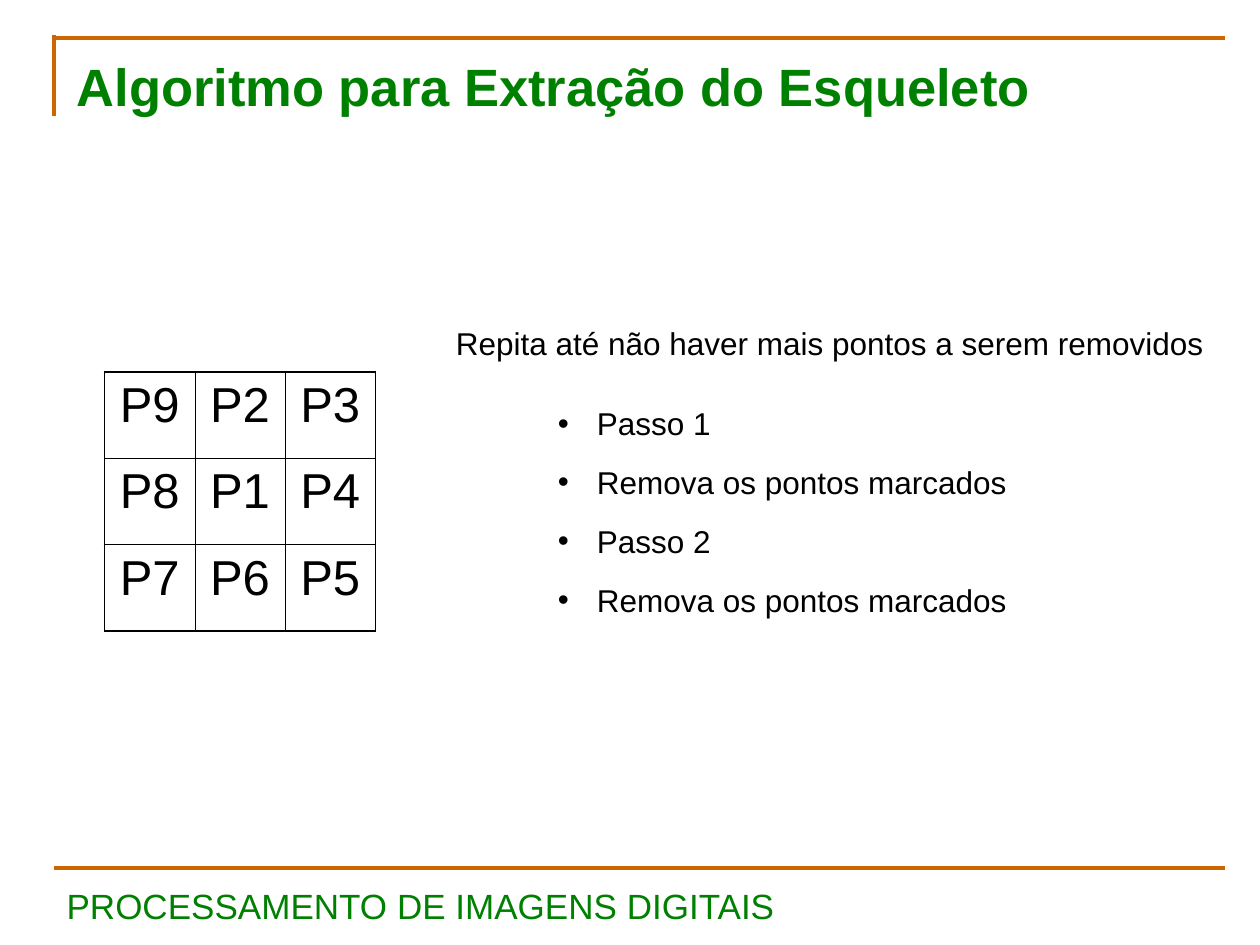
"""Builds the slide on the skeleton extraction algorithm."""
from lxml.etree import SubElement as Sub
from pptx import Presentation
from pptx.dml.color import RGBColor as RGB
from pptx.enum.shapes import MSO_CONNECTOR as Conn
from pptx.enum.text import MSO_ANCHOR as Anchor, MSO_AUTO_SIZE as Auto, PP_ALIGN as Align
from pptx.oxml.ns import qn
from pptx.util import Inches, Pt

INK = {"line": "CC6600", "head": "008000", "text": "000000"}
COLS, ROWS = 100, 75


class Deck:
    def __init__(self, font="Arial"):
        self.font = font
        self.prs = Presentation()
        self.prs.slide_width, self.prs.slide_height = Inches(10), Inches(7.5)
        self.slide = self.prs.slides.add_slide(self.prs.slide_layouts[5])

    def grid(self, *vals):
        unit = self.prs.slide_width / COLS, self.prs.slide_height / ROWS
        return [round(v * unit[i % 2]) for i, v in enumerate(vals)]

    def style(self, par, size, ink, bold=False, align=Align.LEFT):
        par.alignment = align
        for run in par.runs:
            font = run.font
            font.name, font.size, font.bold = self.font, Pt(size), bold
            font.color.rgb = RGB.from_string(INK[ink])

    def fill(self, shape, box, lines, size, ink, bold=False, align=Align.LEFT, gap=None):
        shape.left, shape.top, shape.width, shape.height = self.grid(*box)
        frame = shape.text_frame
        frame.text = "\n".join(lines)
        frame.word_wrap, frame.auto_size = True, Auto.SHAPE_TO_FIT_TEXT
        frame.vertical_anchor = Anchor.TOP
        for i, par in enumerate(frame.paragraphs):
            if gap:
                self.dot(par)
            par.space_before = Pt(gap if gap and i else 0)
            self.style(par, size, ink, bold, align)

    def dot(self, par):
        props = par._p.get_or_add_pPr()
        props.set("marL", str(Inches(0.31)))
        props.set("indent", str(-Inches(0.31)))
        Sub(props, qn("a:buFont")).set("typeface", self.font)
        Sub(props, qn("a:buChar")).set("char", "•")

    def title(self, box, text, size):
        self.fill(self.slide.shapes.title, box, [text], size, "head", True)

    def text(self, box, lines, size, ink, **kw):
        self.fill(self.slide.shapes.add_textbox(0, 0, 0, 0), box, lines, size, ink, **kw)

    def rule(self, *ends):
        line = self.slide.shapes.add_connector(Conn.STRAIGHT, *self.grid(*ends))
        line.line.color.rgb = RGB.from_string(INK["line"])
        line.line.width = Pt(2.5)
        Sub(line._element.spPr, qn("a:effectLst"))

    def edge(self, cell, side, width):
        line = Sub(cell._tc.get_or_add_tcPr(), qn("a:ln" + side), w=str(Pt(width)))
        Sub(Sub(line, qn("a:solidFill")), qn("a:srgbClr")).set("val", INK["text"])

    def table(self, box, rows, size):
        high, wide = len(rows), len(rows[0])
        table = self.slide.shapes.add_table(high, wide, *self.grid(*box)).table
        table.first_row = table.horz_banding = False
        for r, row in enumerate(rows):
            for c, word in enumerate(row):
                cell = table.cell(r, c)
                cell.text = word
                self.style(cell.text_frame.paragraphs[0], size, "text", align=Align.CENTER)
                outer = {"L": c == 0, "R": c == wide - 1, "T": r == 0, "B": r == high - 1}
                for side, thick in outer.items():
                    self.edge(cell, side, 1.08 if thick else 0.45)
                cell.fill.background()


def main():
    deck = Deck()
    left, right, top, base = 4.3, 97.2, 3, 68.9
    deck.rule(left, 9.2, left, 2.8)
    for y in (top, base):
        deck.rule(left, y, right, y)
    deck.title((5.1, 3.8, 91.3, 6), "Algoritmo para Extração do Esqueleto", 30)
    deck.text((left, 69.7, 67.9, 4.4), ["PROCESSAMENTO DE IMAGENS DIGITAIS"], 20, "head")
    deck.table((8.3, 29.5, 21.5, 20.6),
               [("P9", "P2", "P3"), ("P8", "P1", "P4"), ("P7", "P6", "P5")], 28)
    deck.text((34.2, 25.2, 63.3, 4), ["Repita até não haver mais pontos a serem removidos"],
              18, "text", align=Align.CENTER)
    mark = "Remova os pontos marcados"
    deck.text((43.3, 31.6, 39.4, 17.7), ["Passo 1", mark, "Passo 2", mark], 18, "text", gap=12)
    deck.prs.save("out.pptx")


if __name__ == "__main__":
    main()
